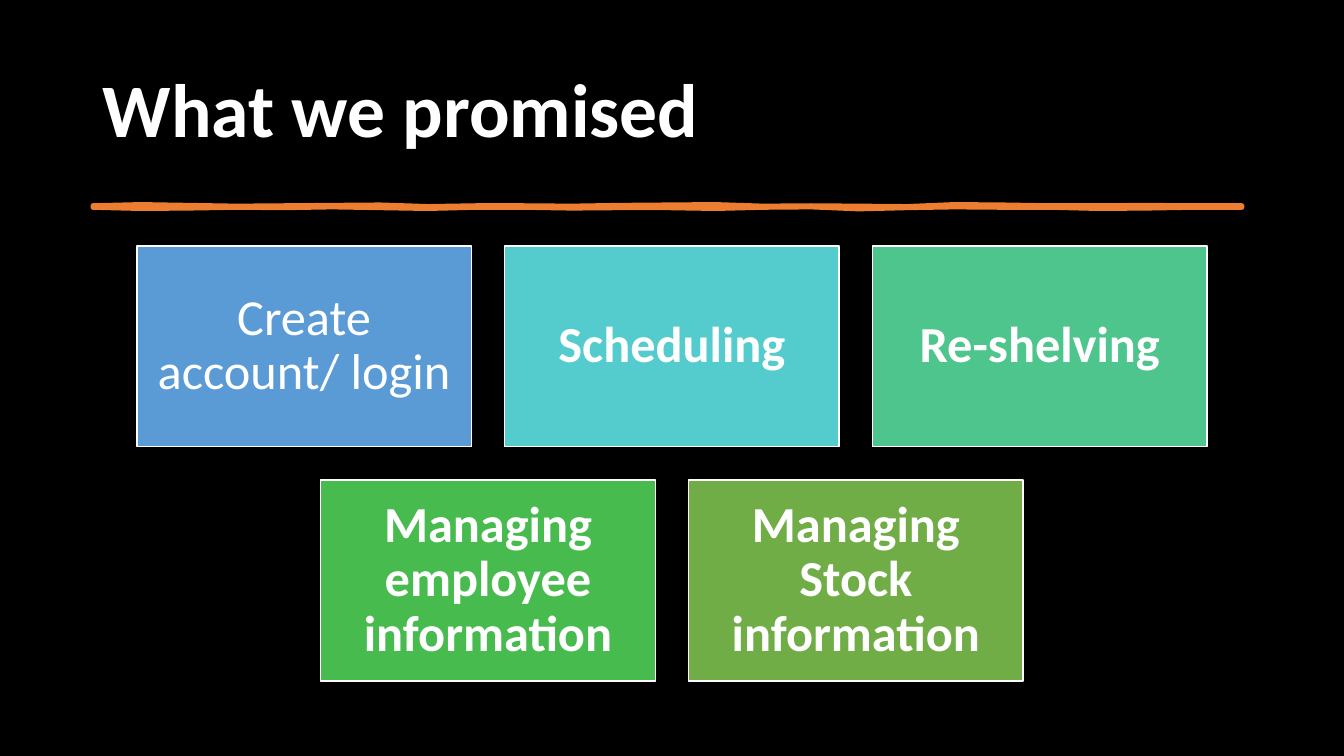
from pptx import Presentation
from pptx.dml.color import RGBColor
from pptx.enum.shapes import MSO_SHAPE
from pptx.enum.text import MSO_ANCHOR, MSO_AUTO_SIZE, PP_ALIGN
from pptx.util import Cm, Pt

RECTANGLE = MSO_SHAPE.RECTANGLE
MIDDLE = MSO_ANCHOR.MIDDLE
NO_AUTOFIT = MSO_AUTO_SIZE.NONE
LEFT, CENTER = PP_ALIGN.LEFT, PP_ALIGN.CENTER

PAGE_WIDTH, PAGE_HEIGHT = 33.87, 19.05
TITLE_ONLY = 5

# Promises by row: text, fill, bold
PROMISES = [
    [("Create account/ login", "5B9BD5", False),
     ("Scheduling", "54CCCD", True),
     ("Re-shelving", "4DC58D", True)],
    [("Managing employee information", "48BB4F", True),
     ("Managing Stock information", "70AD47", True)],
]
BOX_WIDTH, BOX_HEIGHT, GAP, FIRST_TOP = 8.43, 5.06, 0.84, 6.2

# Edges of the hand-drawn rule, in cm, at evenly spaced stations
RULE_LEFT, RULE_WIDTH = 2.34, 28.96
UPPER_EDGE = [5.18, 5.15, 5.17, 5.19, 5.18, 5.17, 5.16, 5.2, 5.18,
              5.18, 5.19, 5.17, 5.16, 5.15, 5.19, 5.18, 5.19, 5.2,
              5.15, 5.16, 5.18, 5.18, 5.17, 5.18, 5.18]
LOWER_EDGE = [5.23, 5.26, 5.25, 5.23, 5.24, 5.22, 5.24, 5.26, 5.23,
              5.23, 5.25, 5.24, 5.24, 5.26, 5.23, 5.22, 5.27, 5.24,
              5.22, 5.23, 5.23, 5.26, 5.25, 5.23, 5.23]


def color(value):
    return RGBColor.from_string(value)


class SlideBuilder:
    font = "Calibri"
    ink = "FFFFFF"
    accent = "ED7D31"

    def __init__(self, page, background):
        self.page = page
        page.background.fill.solid()
        page.background.fill.fore_color.rgb = color(background)

    def add_text(self, shape, text, size, bold, align):
        frame = shape.text_frame
        frame.word_wrap = True
        frame.auto_size = NO_AUTOFIT
        frame.vertical_anchor = MIDDLE
        para = frame.paragraphs[0]
        para.alignment = align
        para.line_spacing = 0.9
        span = para.add_run()
        span.text = text
        span.font.name = self.font
        span.font.size = Pt(size)
        span.font.bold = bold
        span.font.color.rgb = color(self.ink)

    def paint(self, shape, fill, line, width):
        shape.shadow.inherit = False
        shape.fill.solid()
        shape.fill.fore_color.rgb = color(fill)
        shape.line.color.rgb = color(line)
        shape.line.width = Pt(width)

    def title(self, text, left, top, width, height):
        title = self.page.shapes.title
        title.left, title.top = Cm(left), Cm(top)
        title.width, title.height = Cm(width), Cm(height)
        self.add_text(title, text, 54, True, LEFT)

    def rough_rule(self, left, width, upper, lower):
        step = width / (len(upper) - 1)
        there = [(Cm(left + i * step), Cm(y)) for i, y in enumerate(upper)]
        back = [(Cm(left + i * step), Cm(y)) for i, y in enumerate(lower)][::-1]
        builder = self.page.shapes.build_freeform(*there[0])
        builder.add_line_segments(there[1:] + back, close=True)
        self.paint(builder.convert_to_shape(), self.accent, self.accent, 3.25)

    def box(self, text, fill, bold, left, top):
        box = self.page.shapes.add_shape(
            RECTANGLE, Cm(left), Cm(top), Cm(BOX_WIDTH), Cm(BOX_HEIGHT))
        self.paint(box, fill, self.ink, 1)
        frame = box.text_frame
        frame.margin_left = frame.margin_right = Cm(0.38)
        frame.margin_top = frame.margin_bottom = Cm(0.38)
        self.add_text(box, text, 36, bold, CENTER)


def main():
    deck = Presentation()
    deck.slide_width, deck.slide_height = Cm(PAGE_WIDTH), Cm(PAGE_HEIGHT)
    page = deck.slides.add_slide(deck.slide_layouts[TITLE_ONLY])
    slide = SlideBuilder(page, "000000")

    # Heading and rule
    slide.title("What we promised", 2.34, 1.02, 29.21, 3.68)
    slide.rough_rule(RULE_LEFT, RULE_WIDTH, UPPER_EDGE, LOWER_EDGE)

    # Rows of boxes, each centred on the page
    for row, promises in enumerate(PROMISES):
        row_width = len(promises) * (BOX_WIDTH + GAP) - GAP
        start = (PAGE_WIDTH - row_width) / 2
        top = FIRST_TOP + row * (BOX_HEIGHT + GAP)
        for column, (text, fill, bold) in enumerate(promises):
            left = start + column * (BOX_WIDTH + GAP)
            slide.box(text, fill, bold, left, top)

    deck.save("out.pptx")


if __name__ == "__main__":
    main()
